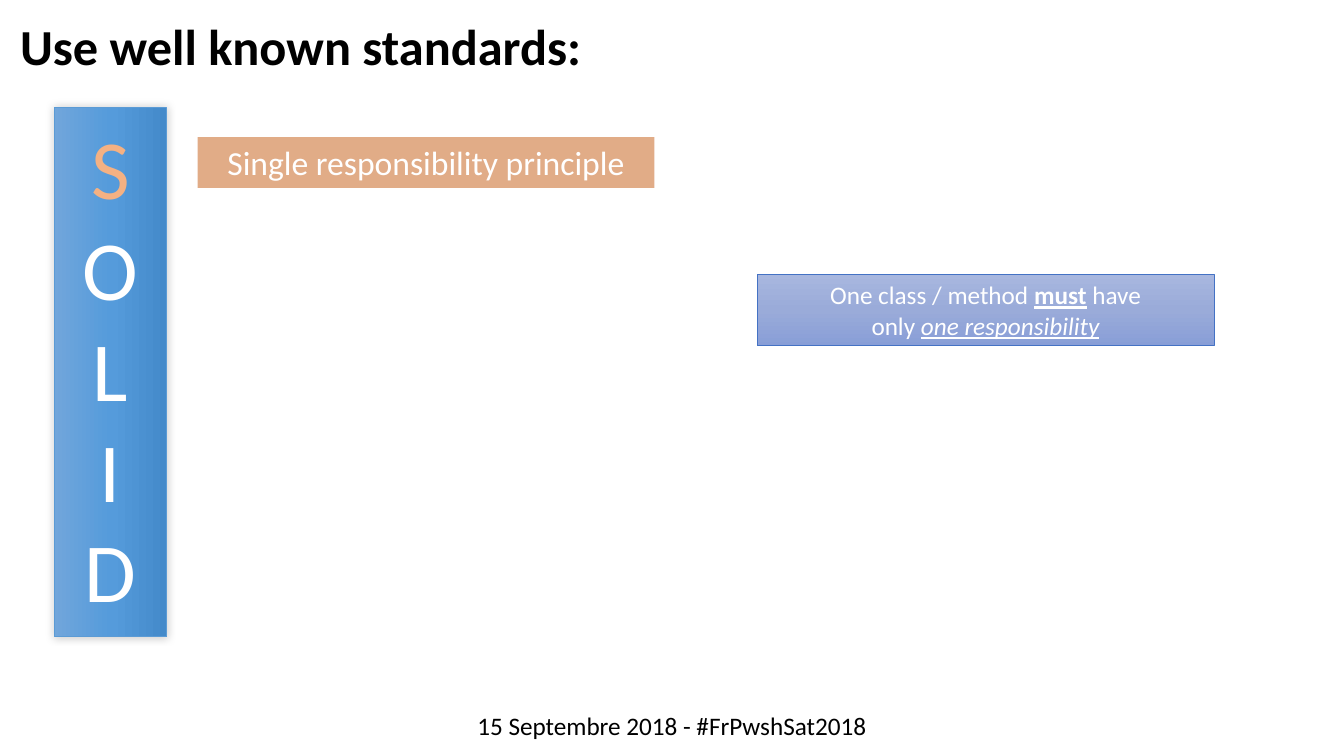
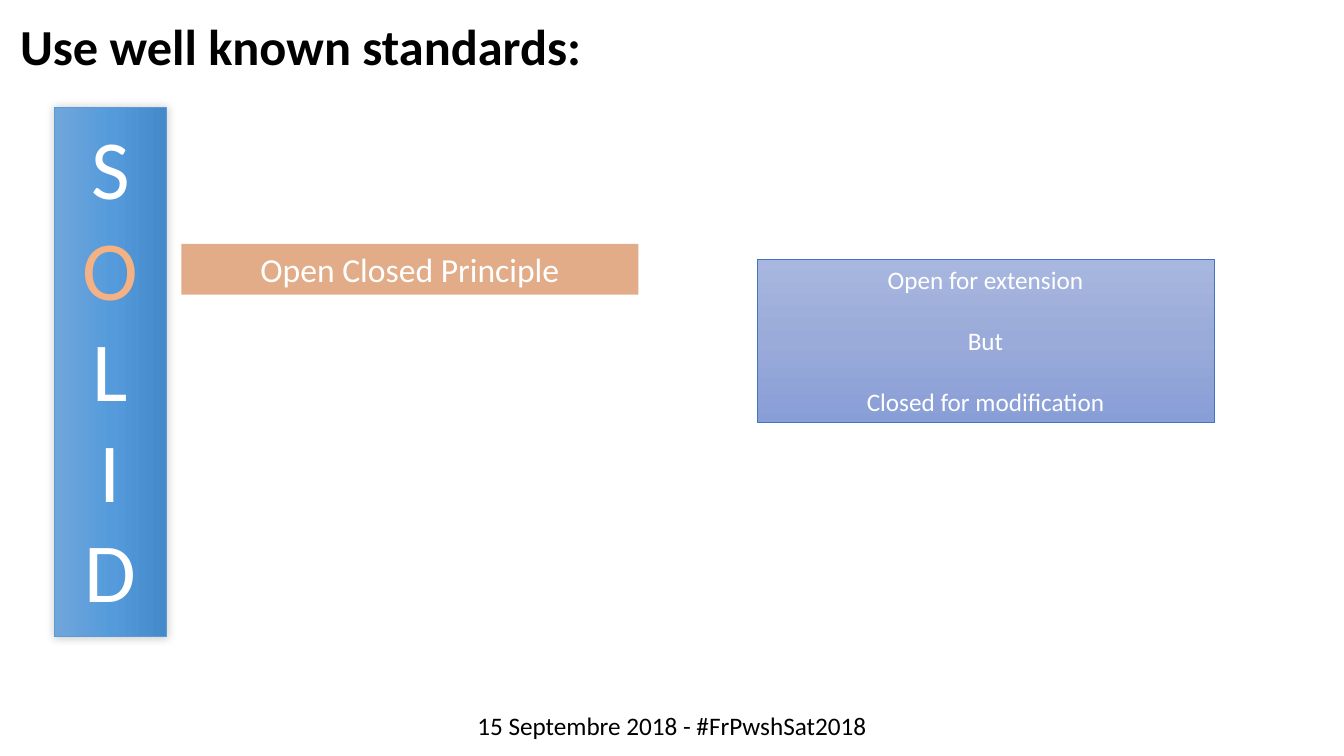
import pptx
import pptx.util
import pptx.dml.color
import pptx.enum.shapes
import pptx.enum.text
import pptx.oxml.ns
import lxml.etree

Pt = pptx.util.Pt
RGB = pptx.dml.color.RGBColor.from_string
qn = pptx.oxml.ns.qn
ANCHOR = pptx.enum.text.MSO_ANCHOR
ALIGN = pptx.enum.text.PP_ALIGN

HUES = {
    "ink": "000000", "white": "FFFFFF", "mark": "F4B183", "rust": "C55A11",
    "bar": "5B9BD5", "note": "4472C4",
}
FADES = {
    "bar": ("71A6DB", "559BDB", "448ACA"),
    "note": ("A8B7DF", "9AABD9", "889ED7"),
}

# Places in percent of the slide: left, top, width, height
FOOT = (0, 93.33, 100, 6.67)
TITLE = (0.75, 1.33, 85.2, 9.47)
BAR = (4.05, 14.23, 8.35, 70)

# A line of a note is a list of runs: text and style letters
SLIDES = [
    {
        "mark": "S",
        "name": "Single responsibility principle",
        "band": (14.7, 18.13, 34, 6.73),
        "note": (56.33, 36.27, 34, 9.47),
        "lines": [
            [("One class / method ", ""), ("must", "bu"), (" have", "")],
            [("only ", ""), ("one responsibility", "iu")],
        ],
        "gap": 0,
    },
    {
        "mark": "O",
        "name": "Open Closed Principle",
        "band": (13.5, 32.27, 34, 6.73),
        "note": (56.33, 34.27, 34, 21.6),
        "lines": [
            [("Open for extension", "")],
            [("But", "")],
            [("Closed for modification", "")],
        ],
        "gap": 22,
    },
]

deck = pptx.Presentation()
deck.slide_width = pptx.util.Inches(13.33)
deck.slide_height = pptx.util.Inches(7.5)


def place(slide, spot, lines, size, hue, kind="text"):
    """Add a text box or a filled box holding lines of styled runs."""
    sides = (deck.slide_width, deck.slide_height) * 2
    rect = [int(side * part / 100) for side, part in zip(sides, spot)]
    if kind == "text":
        box = slide.shapes.add_textbox(*rect)
    else:
        box = slide.shapes.add_shape(pptx.enum.shapes.MSO_SHAPE.RECTANGLE, *rect)
        box.shadow.inherit = False
    frame = box.text_frame
    frame.word_wrap = True
    frame.vertical_anchor = ANCHOR.TOP
    for row, line in enumerate(lines):
        para = frame.add_paragraph() if row else frame.paragraphs[0]
        para.alignment = ALIGN.CENTER
        for text, style in line:
            run = para.add_run()
            run.text = text
            font = run.font
            font.name, font.size = "Calibri", Pt(size)
            font.color.rgb = RGB(HUES[hue])
            font.bold, font.italic = "b" in style, "i" in style
            font.underline = "u" in style
    return box


def fade(box, name, angle):
    """Give a box a three-step gradient and a thin outline."""
    box.fill.gradient()
    box.fill.gradient_angle = angle
    stops = box._element.spPr.find(qn("a:gradFill")).find(qn("a:gsLst"))
    for stop in list(stops):
        stops.remove(stop)
    for step, tone in enumerate(FADES[name]):
        stop = lxml.etree.SubElement(stops, qn("a:gs"), pos=str(step * 50000))
        lxml.etree.SubElement(stop, qn("a:srgbClr"), val=tone)
    box.line.color.rgb = RGB(HUES[name])
    box.line.width = Pt(0.5)


for page in SLIDES:
    slide = deck.slides.add_slide(deck.slide_layouts[6])

    # Footer and title
    place(slide, FOOT, [[("15 Septembre 2018 - #FrPwshSat2018", "")]], 18, "ink")
    title = place(slide, TITLE, [[("Use well known standards:", "b")]], 36, "ink")
    title.text_frame.paragraphs[0].alignment = ALIGN.LEFT

    # Letter bar with the current letter marked
    bar = place(slide, BAR, [[(char, "")] for char in "SOLID"], 60, "white", "bar")
    fade(bar, "bar", 0)
    bar.text_frame.margin_top = pptx.util.Inches(0.08)
    for para in bar.text_frame.paragraphs:
        para.line_spacing = Pt(72)
        if para.text == page["mark"]:
            para.runs[0].font.color.rgb = RGB(HUES["mark"])
    glow = lxml.etree.SubElement(
        bar._element.spPr.find(qn("a:effectLst")), qn("a:outerShdw"),
        blurRad=str(Pt(6)), dist="0", dir="18900000")
    tone = lxml.etree.SubElement(glow, qn("a:srgbClr"), val=HUES["ink"])
    lxml.etree.SubElement(tone, qn("a:alpha"), val="20000")

    # Half-clear band with the name of the principle
    band = place(slide, page["band"], [[(page["name"], "")]], 24, "white", "band")
    band.fill.solid()
    band.fill.fore_color.rgb = RGB(HUES["rust"])
    band.line.fill.background()
    tone = band._element.spPr.find(qn("a:solidFill")).find(qn("a:srgbClr"))
    lxml.etree.SubElement(tone, qn("a:alpha"), val="50000")

    # Note that explains the principle
    note = place(slide, page["note"], page["lines"], 18, "white", "note")
    fade(note, "note", 270)
    note.text_frame.vertical_anchor = ANCHOR.MIDDLE
    for para in note.text_frame.paragraphs[1:]:
        para.space_before = Pt(page["gap"])

deck.save("out.pptx")
